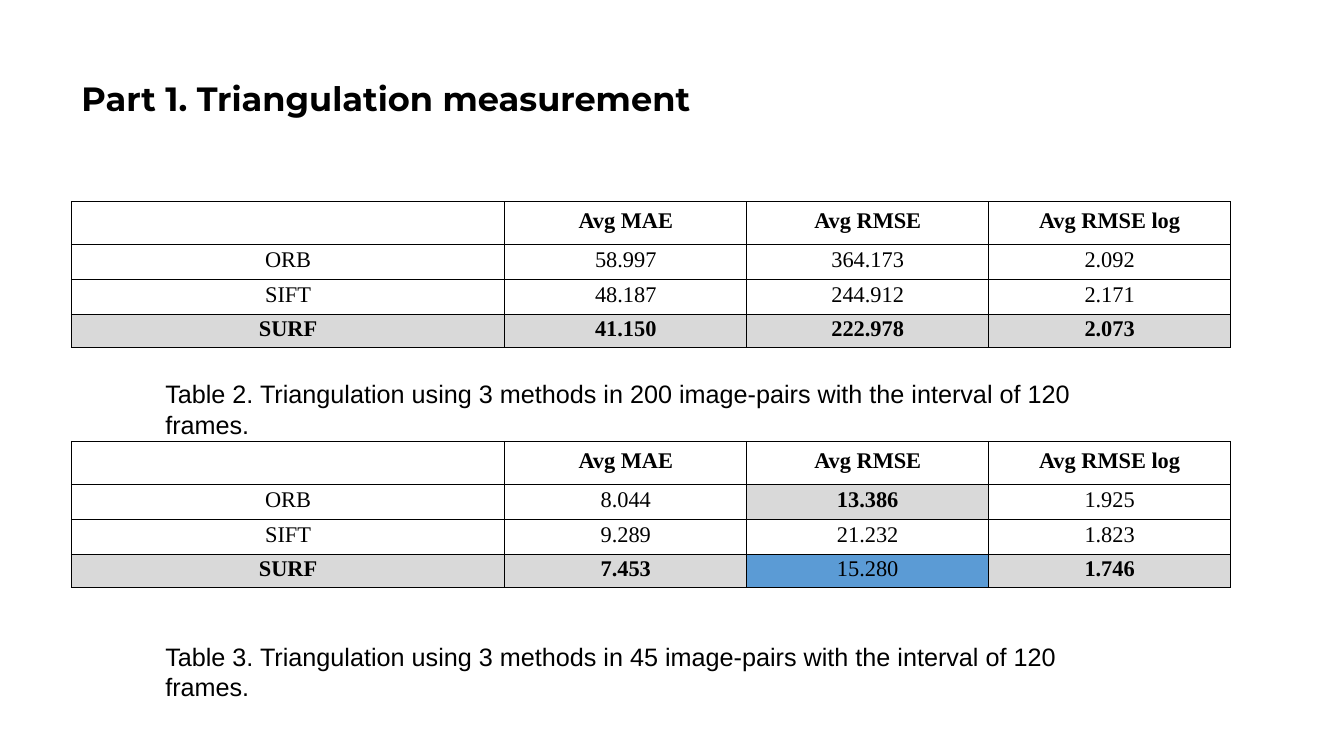
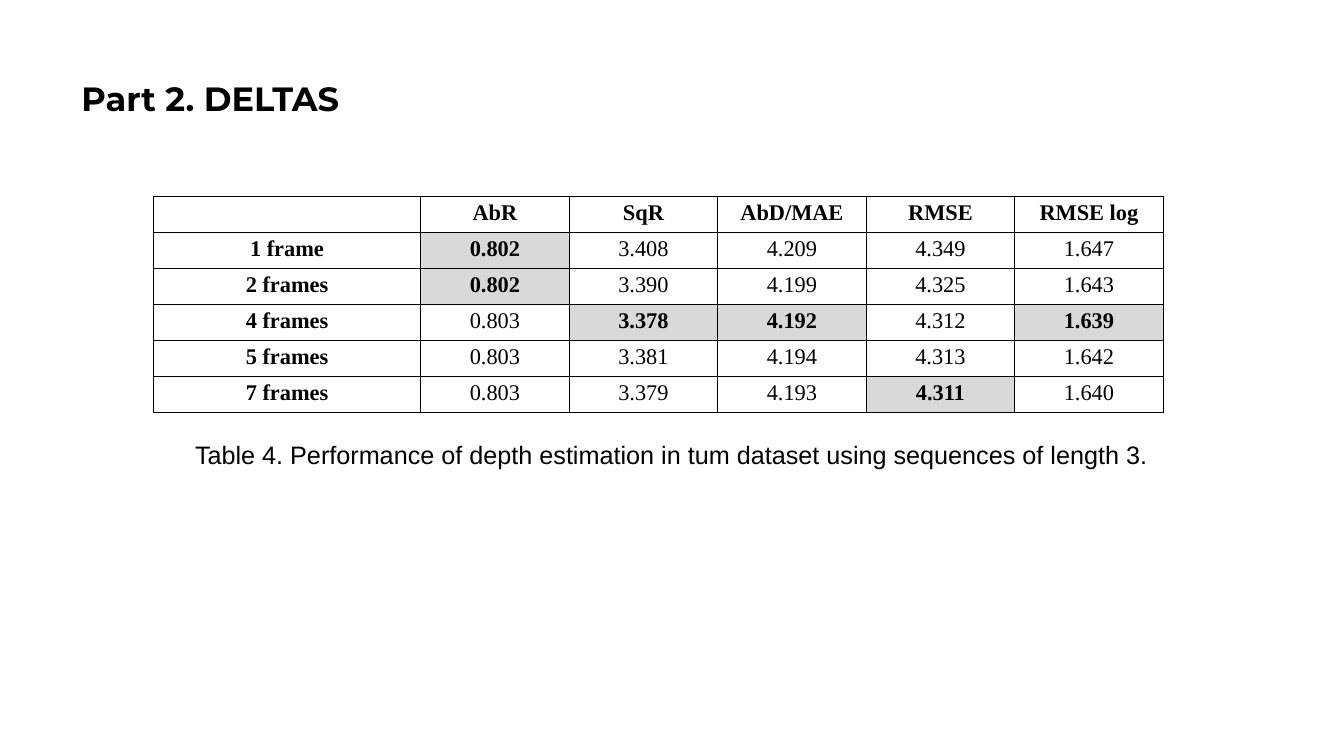
"""Build two slides of depth estimation results with captioned tables."""
import lxml.etree
import pptx
import pptx.dml.color
import pptx.enum.text
import pptx.oxml.ns
import pptx.util

Pt = pptx.util.Pt
Align = pptx.enum.text.PP_ALIGN
Anchor = pptx.enum.text.MSO_ANCHOR
qn = pptx.oxml.ns.qn

BLACK, GREY, BLUE = "000000", "D9D9D9", "5B9BD5"

ERROR_HEADER = ["", "Avg MAE", "Avg RMSE", "Avg RMSE log"]
ERROR_WIDTHS = [309.6] + [172.8] * 3
ERROR_HEIGHTS = [30.5, 25, 25, 23.7]
ERRORS_200_PAIRS = [
    ERROR_HEADER,
    ["ORB", "58.997", "364.173", "2.092"],
    ["SIFT", "48.187", "244.912", "2.171"],
    ["SURF", "41.150", "222.978", "2.073"],
]
ERRORS_45_PAIRS = [
    ERROR_HEADER,
    ["ORB", "8.044", "13.386", "1.925"],
    ["SIFT", "9.289", "21.232", "1.823"],
    ["SURF", "7.453", "15.280", "1.746"],
]
DEPTH_BY_FRAMES = [
    ["", "AbR", "SqR", "AbD/MAE", "RMSE", "RMSE log"],
    ["1 frame", "0.802", "3.408", "4.209", "4.349", "1.647"],
    ["2 frames", "0.802", "3.390", "4.199", "4.325", "1.643"],
    ["4 frames", "0.803", "3.378", "4.192", "4.312", "1.639"],
    ["5 frames", "0.803", "3.381", "4.194", "4.313", "1.642"],
    ["7 frames", "0.803", "3.379", "4.193", "4.311", "1.640"],
]


def rgb(hex_colour):
    """Return the colour for a hex string."""
    return pptx.dml.color.RGBColor.from_string(hex_colour)


def format_paragraph(paragraph, font_name, size, bold=False, align=Align.LEFT):
    """Set font and alignment of a whole paragraph."""
    paragraph.alignment = align
    font = paragraph.font
    font.name, font.size, font.bold = font_name, Pt(size), bold
    font.color.rgb = rgb(BLACK)


def add_titled_slide(deck, title_text):
    """Add a title-only slide in the shared title style."""
    slide = deck.slides.add_slide(deck.slide_layouts[5])
    title = slide.shapes.title
    title.left, title.top, title.width, title.height = Pt(51), Pt(20), Pt(828), Pt(104.4)
    title.text_frame.text = title_text
    title.text_frame.vertical_anchor = Anchor.MIDDLE
    heading = title.text_frame.paragraphs[0]
    heading.line_spacing = 0.9
    format_paragraph(heading, "Montserrat", 24, bold=True)
    return slide


def add_caption(slide, caption_text, left, top, width, align=Align.LEFT):
    """Add a wrapping table caption."""
    caption = slide.shapes.add_textbox(Pt(left), Pt(top), Pt(width), Pt(29))
    caption.text_frame.word_wrap = True
    caption.text_frame.text = caption_text
    format_paragraph(caption.text_frame.paragraphs[0], "Arial", 18, align=align)


def outline_cell(cell):
    """Draw a thin black border on all four sides of a cell."""
    properties = cell._tc.get_or_add_tcPr()
    for side in ("a:lnL", "a:lnR", "a:lnT", "a:lnB"):
        line = lxml.etree.SubElement(properties, qn(side), w=str(Pt(1)))
        fill = lxml.etree.SubElement(line, qn("a:solidFill"))
        lxml.etree.SubElement(fill, qn("a:srgbClr"), val=BLACK)


def fill_cell(cell, value, bold, shade):
    """Write a centred value with border and optional shade."""
    cell.margin_left = cell.margin_right = cell.margin_top = Pt(1)
    cell.margin_bottom = Pt(3.6)
    cell.vertical_anchor = Anchor.MIDDLE
    cell.text = value
    format_paragraph(cell.text_frame.paragraphs[0], "Times New Roman", 16, bold, Align.CENTER)
    outline_cell(cell)
    if shade:
        cell.fill.solid()
        cell.fill.fore_color.rgb = rgb(shade)
    else:
        cell.fill.background()


def add_results(slide, rows, left, top, widths, heights, best, bold_labels=False, accents=()):
    """Add a results table with its best cells bold on grey and accents on blue."""
    frame = slide.shapes.add_table(
        len(rows), len(widths), Pt(left), Pt(top), Pt(sum(widths)), Pt(sum(heights)))
    table = frame.table
    table.first_row = table.horz_banding = False
    for column, width in zip(table.columns, widths):
        column.width = Pt(width)
    for row, height in zip(table.rows, heights):
        row.height = Pt(height)
    for r, values in enumerate(rows):
        for c, value in enumerate(values):
            is_best = (r, c) in best
            shade = GREY if is_best else BLUE if (r, c) in accents else None
            bold = r == 0 or is_best or (bold_labels and c == 0)
            fill_cell(table.cell(r, c), value, bold, shade)


def add_triangulation_slide(deck):
    """Compare three feature methods on two sets of image pairs."""
    slide = add_titled_slide(deck, "Part 1. Triangulation measurement")
    add_results(slide, ERRORS_200_PAIRS, 51, 144, ERROR_WIDTHS, ERROR_HEIGHTS,
                best={(3, c) for c in range(4)})
    add_results(slide, ERRORS_45_PAIRS, 51, 315.4, ERROR_WIDTHS, ERROR_HEIGHTS,
                best={(1, 2), (3, 0), (3, 1), (3, 3)}, accents={(3, 2)})
    for number, pairs, top in ((2, 200, 267), (3, 45, 454.3)):
        add_caption(slide, f"Table {number}. Triangulation using 3 methods in {pairs} "
                    "image-pairs with the interval of 120 frames.", 111, top, 700)


def add_deltas_slide(deck):
    """Show depth estimation errors by number of frames."""
    slide = add_titled_slide(deck, "Part 2. DELTAS")
    add_results(slide, DEPTH_BY_FRAMES, 109.5, 140.4, [191] + [106.1] * 5, [25.7] * 6,
                best={(1, 1), (2, 1), (3, 2), (3, 3), (3, 5), (5, 4)}, bold_labels=True)
    add_caption(slide, "Table 4. Performance of depth estimation in tum dataset "
                "using sequences of length 3.", 85.5, 310.3, 788, Align.CENTER)


def main():
    """Build and save the deck."""
    deck = pptx.Presentation()
    deck.slide_width, deck.slide_height = Pt(960), Pt(540)
    add_triangulation_slide(deck)
    add_deltas_slide(deck)
    deck.save("out.pptx")


if __name__ == "__main__":
    main()
